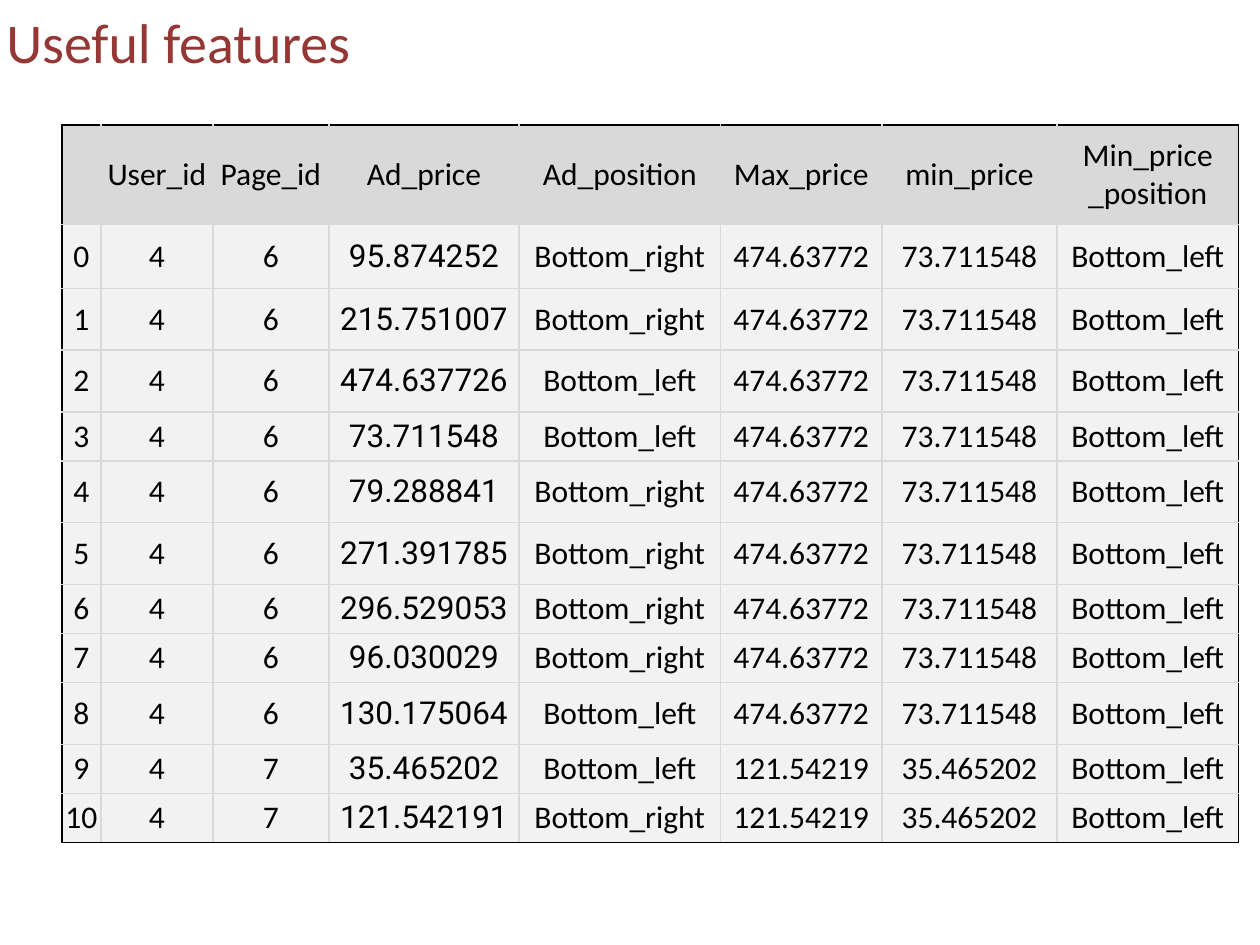
"""Build the slide that lists useful advertising features in a table."""
from lxml.etree import SubElement
from pptx import Presentation
from pptx.dml.color import RGBColor
from pptx.enum.text import MSO_ANCHOR, PP_ALIGN
from pptx.oxml.ns import qn
from pptx.util import Inches, Pt

BLACK = RGBColor(0x00, 0x00, 0x00)
TITLE_RED = RGBColor(0x95, 0x37, 0x35)
HEADER_GRAY = RGBColor(0xD9, 0xD9, 0xD9)
BODY_GRAY = RGBColor(0xF2, 0xF2, 0xF2)

TITLE = "Useful features"
HEADERS = ["", "User_id", "Page_id", "Ad_price", "Ad_position",
           "Max_price", "min_price", "Min_price\n_position"]
ADS = [
    ("4", "6", "95.874252", "Bottom_right"),
    ("4", "6", "215.751007", "Bottom_right"),
    ("4", "6", "474.637726", "Bottom_left"),
    ("4", "6", "73.711548", "Bottom_left"),
    ("4", "6", "79.288841", "Bottom_right"),
    ("4", "6", "271.391785", "Bottom_right"),
    ("4", "6", "296.529053", "Bottom_right"),
    ("4", "6", "96.030029", "Bottom_right"),
    ("4", "6", "130.175064", "Bottom_left"),
    ("4", "7", "35.465202", "Bottom_left"),
    ("4", "7", "121.542191", "Bottom_right"),
]
PAGE_SUMMARY = {
    "6": ("474.63772", "73.711548", "Bottom_left"),
    "7": ("121.54219", "35.465202", "Bottom_left"),
}
COLUMN_WIDTHS = [0.31, 0.89, 0.92, 1.51, 1.6, 1.28, 1.39, 1.44]
ROW_HEIGHTS = [0.79, 0.51, 0.49, 0.49, 0.39, 0.49, 0.49, 0.39, 0.39, 0.49, 0.39, 0.39]
PRICE_COLUMN = 3


def add_span(paragraph, text, size, color, font="Calibri"):
    span = paragraph.add_run()
    span.text = text
    span.font.size = Pt(size)
    span.font.name = font
    span.font.color.rgb = color


def set_borders(cell, colors):
    properties = cell._tc.get_or_add_tcPr()
    for side, color in colors.items():
        line = SubElement(properties, qn(f"a:ln{side}"), w=str(Pt(1)))
        fill = SubElement(line, qn("a:solidFill"))
        SubElement(fill, qn("a:srgbClr"), val=str(color))


def format_cell(cell, text, fill, font, borders):
    set_borders(cell, borders)
    cell.fill.solid()
    cell.fill.fore_color.rgb = fill
    cell.vertical_anchor = MSO_ANCHOR.MIDDLE
    cell.margin_left = cell.margin_right = cell.margin_top = cell.margin_bottom = 0
    frame = cell.text_frame
    for position, words in enumerate(text.split("\n")):
        paragraph = frame.add_paragraph() if position else frame.paragraphs[0]
        paragraph.alignment = PP_ALIGN.CENTER
        if words:
            add_span(paragraph, words, 18, BLACK, font)


def add_title(page):
    title = page.shapes.title
    title.left, title.top, title.width, title.height = 0, 0, Inches(9.37), Inches(0.64)
    frame = title.text_frame
    frame.word_wrap = True
    frame.vertical_anchor = MSO_ANCHOR.BOTTOM
    frame.margin_left = frame.margin_right = Inches(0.05)
    frame.margin_top = frame.margin_bottom = Inches(0.05)
    frame.paragraphs[0].alignment = PP_ALIGN.LEFT
    add_span(frame.paragraphs[0], TITLE, 32, TITLE_RED)


def add_feature_table(page):
    rows = [HEADERS] + [(str(index), *ad, *PAGE_SUMMARY[ad[1]])
                        for index, ad in enumerate(ADS)]
    last_row, last_column = len(rows) - 1, len(HEADERS) - 1
    table = page.shapes.add_table(
        len(rows), len(HEADERS), Inches(0.49), Inches(0.99),
        Inches(sum(COLUMN_WIDTHS)), Inches(sum(ROW_HEIGHTS))).table
    table.first_row = table.horz_banding = False
    for column, width in zip(table.columns, COLUMN_WIDTHS):
        column.width = Inches(width)
    for row, height in zip(table.rows, ROW_HEIGHTS):
        row.height = Inches(height)
    for r, values in enumerate(rows):
        for c, text in enumerate(values):
            outer = {"L": c == 0, "R": c == last_column, "T": r == 0, "B": r == last_row}
            borders = {side: BLACK if edge else HEADER_GRAY for side, edge in outer.items()}
            fill = BODY_GRAY if r else HEADER_GRAY
            font = "Roboto" if r and c == PRICE_COLUMN else "Calibri"
            format_cell(table.cell(r, c), text, fill, font, borders)


deck = Presentation()
deck.slide_width, deck.slide_height = Inches(10), Inches(7.5)
page = deck.slides.add_slide(deck.slide_layouts[5])
add_feature_table(page)
add_title(page)
deck.save("out.pptx")
